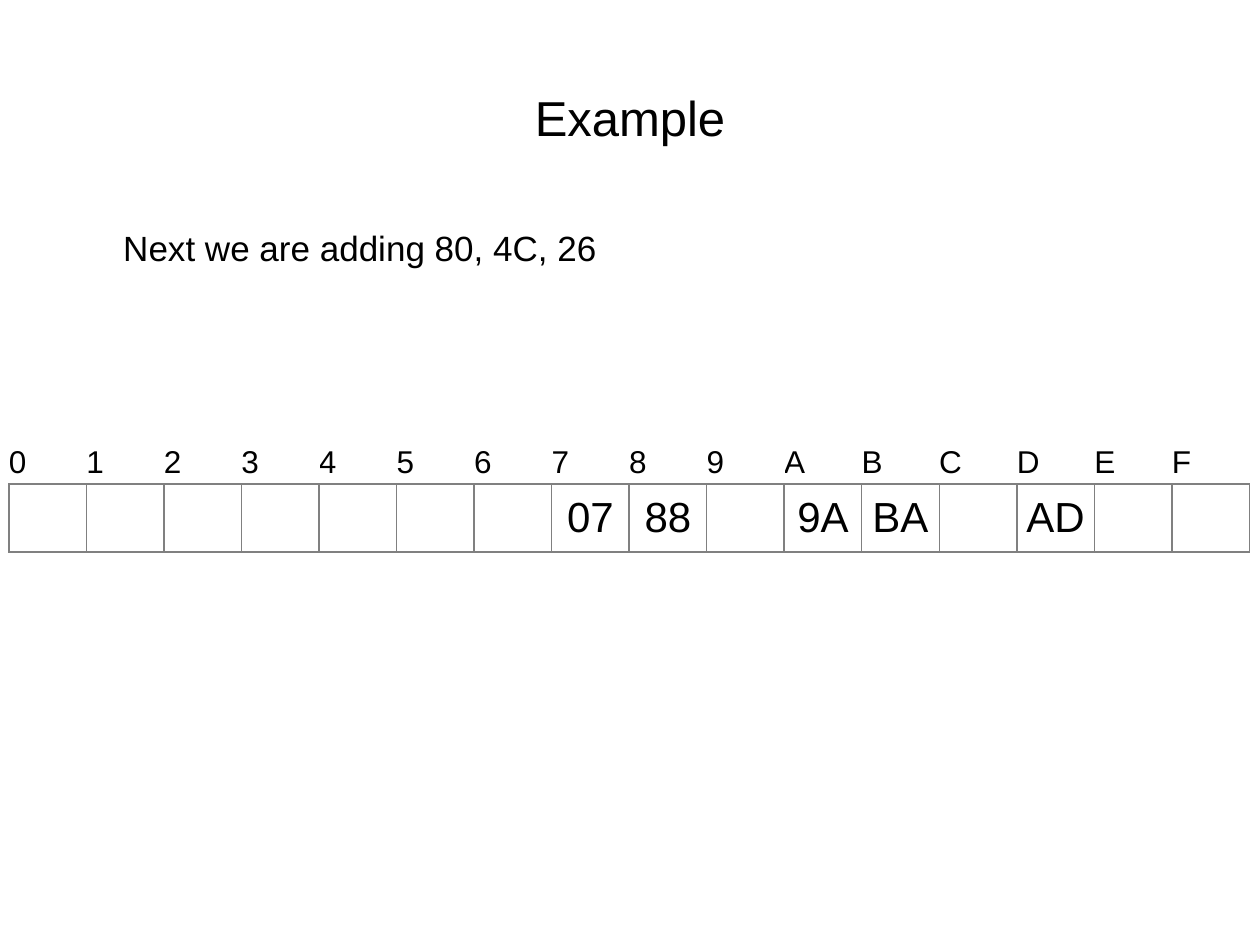
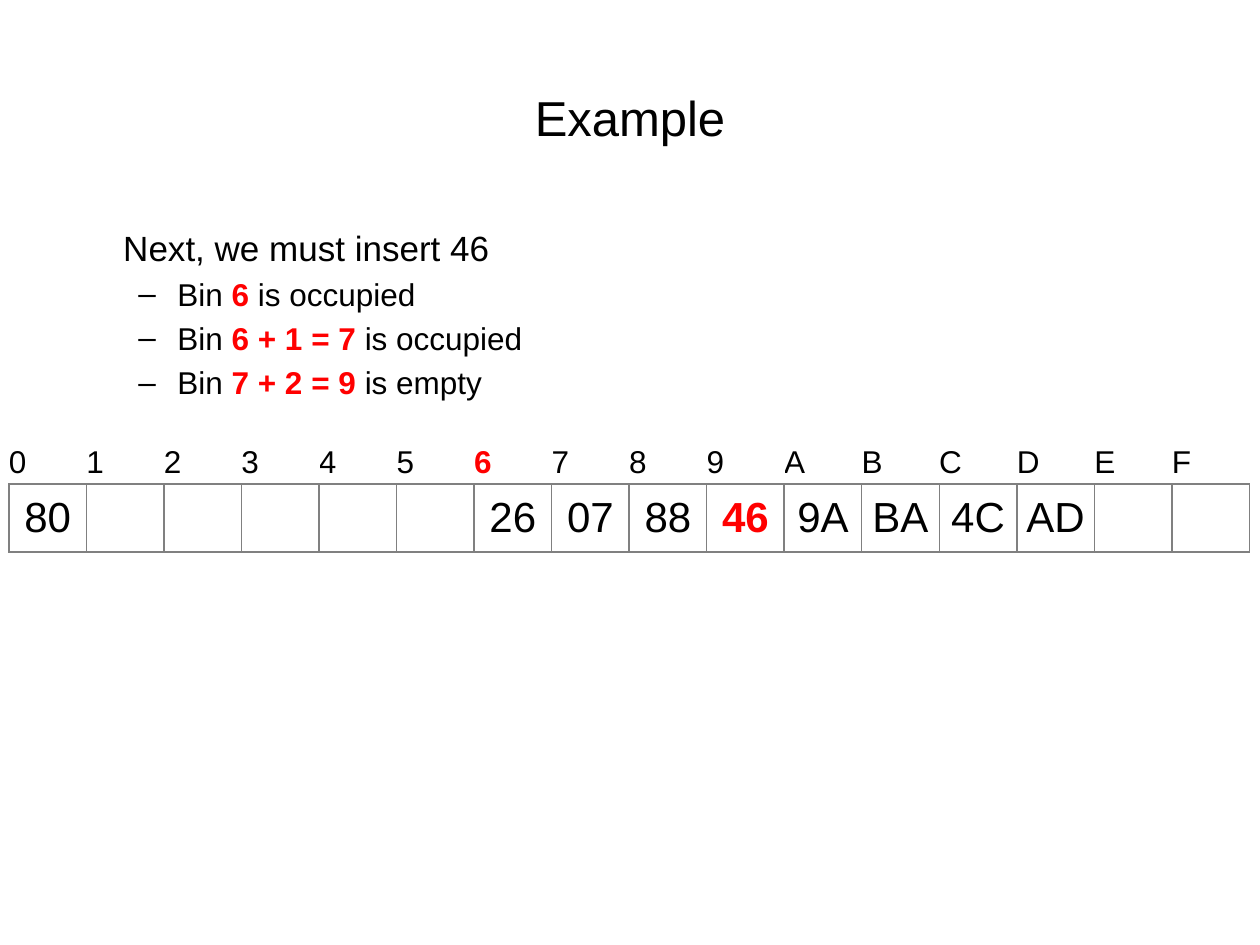
import pptx
import pptx.dml.color
import pptx.enum.text
import pptx.oxml.ns
import pptx.util
from lxml import etree

WIDE, HIGH = 10, 7.5
FONT = "Arial"
INK, HOT, RULE = "000000", "FF0000", "808080"
BINS = "0123456789ABCDEF"
ALIGN = pptx.enum.text.PP_ALIGN
MID = pptx.enum.text.MSO_ANCHOR.MIDDLE
inch = pptx.util.Inches


def color(code):
    return pptx.dml.color.RGBColor.from_string(code)


def node(owner, tag, **attrs):
    return etree.SubElement(owner, pptx.oxml.ns.qn(tag), attrs)


def add_run(para, text, size, hot=False):
    run = para.add_run()
    run.text = text
    font = run.font
    font.name, font.size, font.bold = FONT, pptx.util.Pt(size), hot
    font.color.rgb = color(HOT if hot else INK)


def add_box(slide, top, height):
    """Text frame with a 5% margin on each side of the slide."""
    box = slide.shapes.add_textbox(
        inch(WIDE * 0.05), inch(top), inch(WIDE * 0.9), inch(height))
    box.text_frame.word_wrap = True
    return box.text_frame


def add_title(slide, text):
    frame = add_box(slide, HIGH * 0.04, HIGH / 6)
    frame.vertical_anchor = MID
    para = frame.paragraphs[0]
    para.alignment = ALIGN.CENTER
    add_run(para, text, 28)


def set_lead(para, left, hang=0.0, mark=None):
    """Indent, spacing of a fifth of a line, and the bullet if any."""
    props = para._p.get_or_add_pPr()
    props.set("marL", str(inch(left)))
    props.set("indent", str(-inch(hang)))
    node(node(props, "a:spcBef"), "a:spcPct", val="20000")
    if mark:
        node(props, "a:buFont", typeface=FONT)
        node(props, "a:buChar", char=mark)
    else:
        node(props, "a:buNone")


def add_body(slide, lead, steps):
    frame = add_box(slide, 1.75, HIGH * 0.66)
    para = frame.paragraphs[0]
    set_lead(para, 0.38)
    add_run(para, lead, 20)
    for start, key, end in steps:
        para = frame.add_paragraph()
        para.level = 1
        set_lead(para, 0.81, 0.31, "–")
        add_run(para, start, 18)
        add_run(para, key, 18, hot=True)
        add_run(para, end, 18)


def set_edge(cell, sides):
    """Grey borders; they must come before the fill in the cell's XML."""
    props = cell._tc.get_or_add_tcPr()
    for spot, side in enumerate(sides):
        line = node(props, "a:ln" + side, w=str(pptx.util.Pt(1)))
        node(node(line, "a:solidFill"), "a:srgbClr", val=RULE)
        props.insert(spot, line)


def set_cell(cell, text, size, sides, align, hot):
    cell.margin_left = cell.margin_right = 0
    cell.margin_top = cell.margin_bottom = 0
    cell.vertical_anchor = MID
    cell.fill.background()
    set_edge(cell, sides)
    para = cell.text_frame.paragraphs[0]
    para.alignment = align
    if text:
        add_run(para, text, size, hot)


def add_bins(slide, items, hot_bin, hot_item):
    """Hash table: bin numbers above, stored values below."""
    frame = slide.shapes.add_table(
        2, len(BINS), inch(0.07), inch(3.51), inch(9.85), inch(0.87))
    table = frame.table
    table.first_row = table.horz_banding = False
    for row, height in zip(table.rows, (0.33, 0.54)):
        row.height = inch(height)
    for col, name in enumerate(BINS):
        table.columns[col].width = inch(9.85 / len(BINS))
        item = items.get(name, "")
        set_cell(table.cell(0, col), name, 18, "B", ALIGN.LEFT,
                 name == hot_bin)
        set_cell(table.cell(1, col), item, 24, "LRTB", ALIGN.CENTER,
                 item == hot_item)


def add_page(deck, lead, items, steps=(), hot_bin=None, hot_item=None):
    slide = deck.slides.add_slide(deck.slide_layouts[6])
    add_body(slide, lead, steps)
    add_title(slide, "Example")
    add_bins(slide, items, hot_bin, hot_item)


def main():
    deck = pptx.Presentation()
    deck.slide_width, deck.slide_height = inch(WIDE), inch(HIGH)

    # Values stored so far
    items = {"7": "07", "8": "88", "A": "9A", "B": "BA", "D": "AD"}
    add_page(deck, "Next we are adding 80, 4C, 26", items)

    # Probing for a free bin
    steps = [
        ("Bin ", "6", " is occupied"),
        ("Bin ", "6 + 1 = 7", " is occupied"),
        ("Bin ", "7 + 2 = 9", " is empty"),
    ]
    items.update({"0": "80", "6": "26", "9": "46", "C": "4C"})
    add_page(deck, "Next, we must insert 46", items, steps, "6", "46")

    deck.save("out.pptx")


if __name__ == "__main__":
    main()
